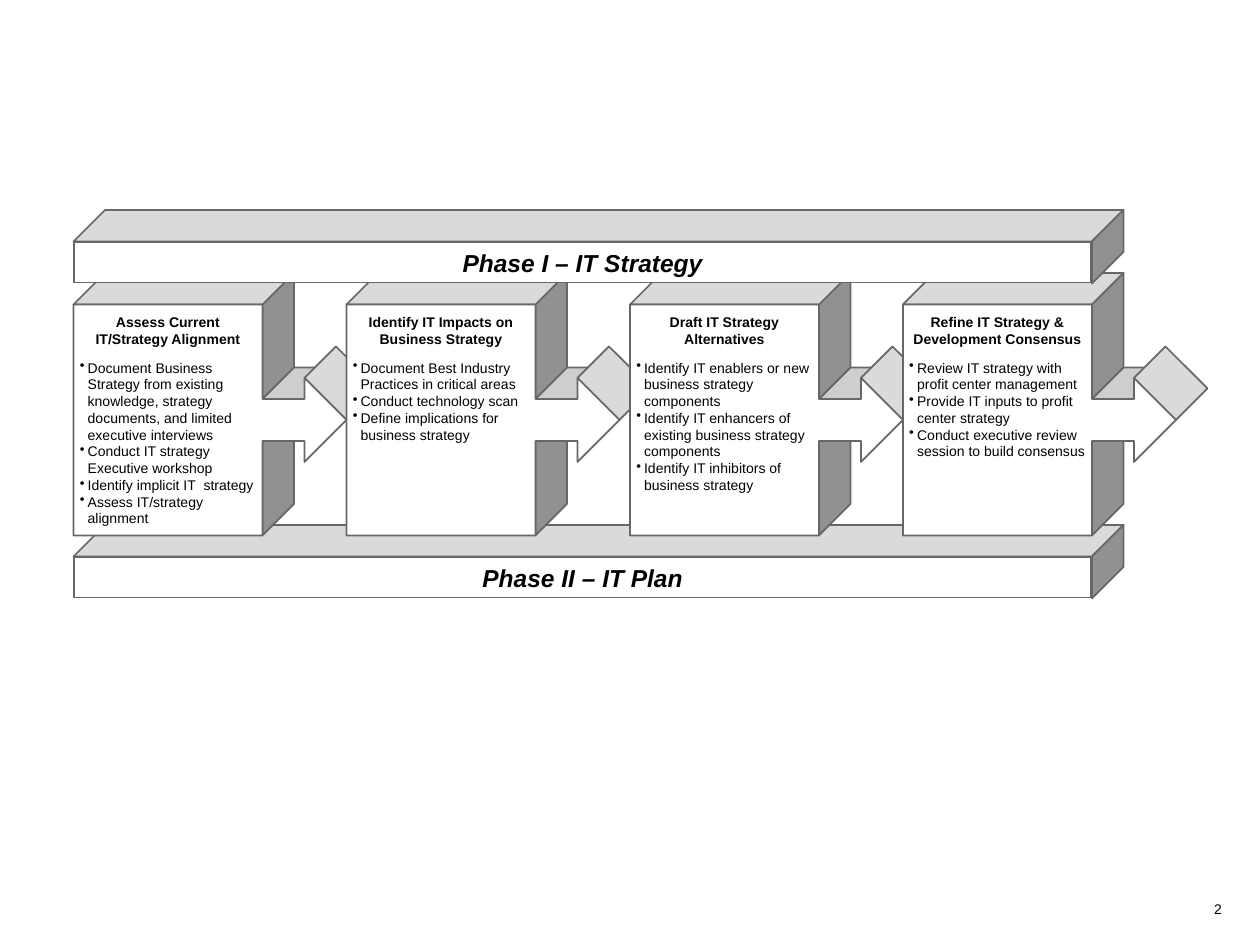
from dataclasses import dataclass

from lxml import etree
from pptx import Presentation
from pptx.dml.color import RGBColor
from pptx.enum.shapes import MSO_SHAPE
from pptx.enum.text import MSO_ANCHOR, PP_ALIGN
from pptx.oxml.ns import qn
from pptx.util import Pt

RECT = MSO_SHAPE.RECTANGLE
TOP, MIDDLE = MSO_ANCHOR.TOP, MSO_ANCHOR.MIDDLE
LEFT, CENTER = PP_ALIGN.LEFT, PP_ALIGN.CENTER


@dataclass(frozen=True)
class Theme:
    font: str = "Arial"
    text: RGBColor = RGBColor(0x00, 0x00, 0x00)
    outline: RGBColor = RGBColor(0x67, 0x67, 0x67)
    front: RGBColor = RGBColor(0xFF, 0xFF, 0xFF)
    top: RGBColor = RGBColor(0xDA, 0xDA, 0xDA)
    shaft: RGBColor = RGBColor(0xCE, 0xCE, 0xCE)
    side: RGBColor = RGBColor(0x91, 0x91, 0x91)
    phase_size: int = 14
    small_size: int = 8


THEME = Theme()
DEPTH = 18
BULLET_INDENT = 4.5

CARD_WIDTH, CARD_HEIGHT, CARD_TOP = 108, 132, 174
BAR_LEFT, BAR_WIDTH, BAR_HEIGHT = 42, 582, 24
PHASE_1_TOP, PHASE_2_TOP = 138, 318

STEPS = [
    (42, "Assess Current IT/Strategy Alignment", [
        "Document Business Strategy from existing knowledge, strategy "
        "documents, and limited executive interviews",
        "Conduct IT strategy Executive workshop",
        "Identify implicit IT  strategy",
        "Assess IT/strategy alignment",
    ]),
    (198, "Identify IT Impacts on Business Strategy", [
        "Document Best Industry Practices in critical areas",
        "Conduct technology scan",
        "Define implications for business strategy",
    ]),
    (360, "Draft IT Strategy Alternatives", [
        "Identify IT enablers or new business strategy components",
        "Identify IT enhancers of existing business strategy components",
        "Identify IT inhibitors of business strategy",
    ]),
    (516, "Refine IT Strategy & Development Consensus", [
        "Review IT strategy with profit center management",
        "Provide IT inputs to profit center strategy",
        "Conduct executive review session to build consensus",
    ]),
]


def style_shape(sp, fill):
    sp.shadow.inherit = False
    sp.fill.solid()
    sp.fill.fore_color.rgb = fill
    sp.line.color.rgb = THEME.outline
    sp.line.width = Pt(1)


def add_face(shapes, x, y, points, fill):
    """Draw a closed polygon whose points are relative to (x, y)."""
    pts = [(Pt(x + dx), Pt(y + dy)) for dx, dy in points]
    builder = shapes.build_freeform(*pts[0])
    builder.add_line_segments(pts[1:], close=True)
    style_shape(builder.convert_to_shape(), fill)


def add_top_face(shapes, x, y, w):
    points = [(0, 0), (DEPTH, -DEPTH), (w + DEPTH, -DEPTH), (w, 0)]
    add_face(shapes, x, y, points, THEME.top)


def add_side_face(shapes, x, y, h):
    points = [(0, 0), (DEPTH, -DEPTH), (DEPTH, h - DEPTH), (0, h)]
    add_face(shapes, x, y, points, THEME.side)


def set_frame(tf, inset_x, inset_y, anchor=TOP, wrap=True):
    tf.margin_left = tf.margin_right = Pt(inset_x)
    tf.margin_top = tf.margin_bottom = Pt(inset_y)
    tf.vertical_anchor = anchor
    tf.word_wrap = wrap


def add_bullet(p):
    pPr = p._p.get_or_add_pPr()
    pPr.set("marL", str(Pt(BULLET_INDENT)))
    pPr.set("indent", str(-Pt(BULLET_INDENT)))
    etree.SubElement(pPr, qn("a:buChar")).set("char", "•")


def write(tf, lines, size, align=CENTER, bold=False, italic=False, bullets=False):
    for i, line in enumerate(lines):
        p = tf.add_paragraph() if i else tf.paragraphs[0]
        p.alignment = align
        if bullets:
            add_bullet(p)
        r = p.add_run()
        r.text = line
        r.font.name = THEME.font
        r.font.size = Pt(size)
        r.font.bold = bold
        r.font.italic = italic
        r.font.color.rgb = THEME.text


def add_text(shapes, x, y, w, h, inset_y, anchor, lines, **style):
    tf = shapes.add_textbox(Pt(x), Pt(y), Pt(w), Pt(h)).text_frame
    set_frame(tf, 3.6, inset_y, anchor)
    write(tf, lines, THEME.small_size, **style)


def add_phase_bar(shapes, x, y, w, h, label):
    sp = shapes.add_shape(RECT, Pt(x + 0.5), Pt(y + 0.5), Pt(w - 1), Pt(h - 1))
    style_shape(sp, THEME.front)
    set_frame(sp.text_frame, 7.2, 3.6, MIDDLE, wrap=False)
    write(sp.text_frame, [label], THEME.phase_size, bold=True, italic=True)
    add_top_face(shapes, x, y, w)
    add_side_face(shapes, x + w, y, h)


def add_step_card(shapes, x, y, w, h, title, items):
    """Draw a 3D card whose front face runs into an arrow on its right."""
    mid = h / 2
    shaft_top, shaft_bottom = mid - 12, mid + 12
    neck, tip = w + 24, w + 48
    head_top, head_bottom = mid - 24, mid + 24

    add_face(shapes, x, y, [
        (w, shaft_top), (w + DEPTH, shaft_top - DEPTH),
        (w + 54, shaft_top - DEPTH), (w + 30, shaft_top),
    ], THEME.shaft)
    add_side_face(shapes, x + w, y, shaft_top)
    add_side_face(shapes, x + w, y + shaft_bottom, h - shaft_bottom)
    add_top_face(shapes, x, y, w)
    add_face(shapes, x, y, [
        (neck, head_top), (neck + DEPTH, head_top - DEPTH),
        (tip + DEPTH, mid - DEPTH), (tip, mid),
    ], THEME.top)
    add_face(shapes, x, y, [
        (0, 0), (w, 0), (w, shaft_top), (neck, shaft_top), (neck, head_top),
        (tip, mid), (neck, head_bottom), (neck, shaft_bottom),
        (w, shaft_bottom), (w, h), (0, h),
    ], THEME.front)
    add_text(shapes, x, y + 24, w, h - 24, 7.2, TOP, items,
             align=LEFT, bullets=True)
    add_text(shapes, x, y, w, 30, 7.2, MIDDLE, [title], bold=True)


def main():
    prs = Presentation()
    prs.slide_width, prs.slide_height = Pt(720), Pt(540)
    s = prs.slides.add_slide(prs.slide_layouts[6])

    add_text(s.shapes, 684, 511.2, 24, 16.5, 3.6, TOP, ["2"])
    add_phase_bar(s.shapes, BAR_LEFT, PHASE_2_TOP, BAR_WIDTH, BAR_HEIGHT,
                  "Phase II – IT Plan")
    for left, title, items in STEPS:
        card = s.shapes.add_group_shape()
        add_step_card(card.shapes, left, CARD_TOP, CARD_WIDTH, CARD_HEIGHT,
                      title, items)
    add_phase_bar(s.shapes, BAR_LEFT, PHASE_1_TOP, BAR_WIDTH, BAR_HEIGHT,
                  "Phase I – IT Strategy")
    prs.save("out.pptx")


if __name__ == "__main__":
    main()
